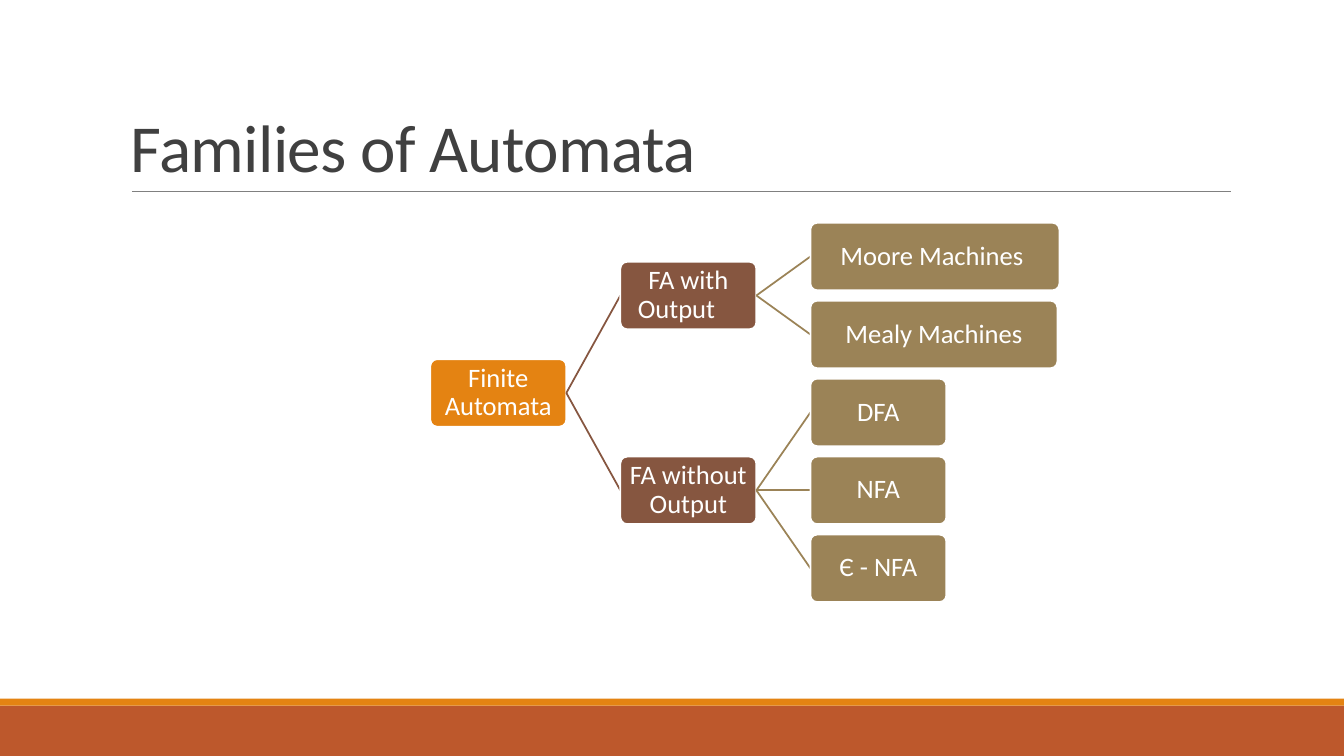
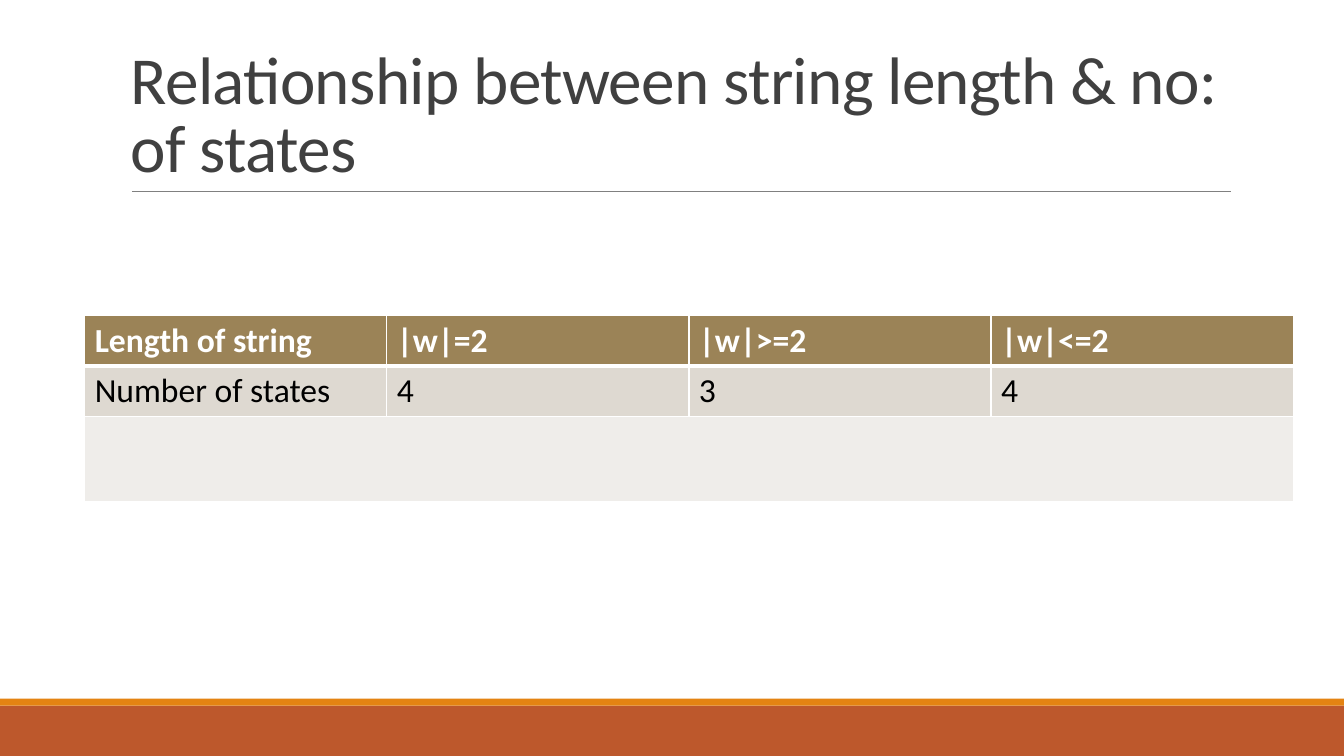
import lxml.etree
import pptx
import pptx.dml.color
import pptx.enum.shapes
import pptx.enum.text
import pptx.oxml.ns
import pptx.util

COLOURS = {
    "band": "BD582C", "stripe": "E48312", "rule": "808080", "title": "404040",
    "root": "E48312", "family": "865640", "machine": "9B8357",
    "header": "9B8357", "body": "DED9D1", "spare": "EFEDEA",
    "white": "FFFFFF", "black": "000000",
}
FONT = "Calibri"
SLIDE_WIDTH = pptx.util.Inches(13.33)
SLIDE_HEIGHT = pptx.util.Inches(7.5)

# The tree's grid, in percent of the slide's width (x) and height (y)
TREE_LEFT, TREE_TOP = 32.02, 29.47
LEVEL_STEP, LEAF_STEP = 14.14, 10.31
NODE_WIDTH, NODE_HEIGHT = 10.12, 8.93
LEVEL_COLOURS = ["root", "family", "machine"]

# Each node: text, width, children
AUTOMATA = ("Finite Automata", NODE_WIDTH, [
    ("FA with Output\t", NODE_WIDTH, [
        ("Moore Machines ", 18.53, []),
        ("Mealy Machines", 18.38, []),
    ]),
    ("FA without Output", NODE_WIDTH, [
        ("DFA", NODE_WIDTH, []),
        ("NFA", NODE_WIDTH, []),
        ("Є - NFA", NODE_WIDTH, []),
    ]),
])

STATE_COUNTS = [
    ["Length of string", "|w|=2", "|w|>=2", "|w|<=2"],
    ["Number of states", "4", "3", "4"],
    ["", "", "", ""],
]
ROW_HEIGHTS = [6.67, 6.67, 11.33]
ROW_FILLS = ["header", "body", "spare"]
COLUMN_WIDTH = 22.48


def across(percent):
    return round(SLIDE_WIDTH * percent / 100)


def down(percent):
    return round(SLIDE_HEIGHT * percent / 100)


def area(left, top, width, height):
    return across(left), down(top), across(width), down(height)


def rgb(name):
    return pptx.dml.color.RGBColor.from_string(COLOURS[name])


def write_text(frame, text, size=24, colour="black", bold=False, align=None,
               anchor=None, line_spacing=None, tracking=None, inset=None):
    """Put one formatted paragraph in a text frame; tracking is in points."""
    frame.word_wrap = True
    if anchor is not None:
        frame.vertical_anchor = anchor
    if inset is not None:
        frame.margin_left = frame.margin_right = pptx.util.Inches(inset)
        frame.margin_top = frame.margin_bottom = pptx.util.Inches(inset)
    paragraph = frame.paragraphs[0]
    paragraph.alignment = align
    paragraph.line_spacing = line_spacing
    run = paragraph.add_run()
    run.text = text
    run.font.name = FONT
    run.font.size = pptx.util.Pt(size)
    run.font.bold = bold
    run.font.color.rgb = rgb(colour)
    if tracking is not None:
        run.font._element.set("spc", str(round(tracking * 100)))


def add_block(slide, place, fill, outline=None, rounded=False):
    kinds = pptx.enum.shapes.MSO_SHAPE
    kind = kinds.ROUNDED_RECTANGLE if rounded else kinds.RECTANGLE
    block = slide.shapes.add_shape(kind, *area(*place))
    block.shadow.inherit = False
    block.fill.solid()
    block.fill.fore_color.rgb = rgb(fill)
    if rounded:
        block.adjustments[0] = 0.1
    if outline:
        block.line.color.rgb = rgb(outline)
        block.line.width = pptx.util.Pt(1.25)
    else:
        block.line.fill.background()
    return block


def add_line(slide, start, end, colour, width):
    line = slide.shapes.add_connector(
        pptx.enum.shapes.MSO_CONNECTOR.STRAIGHT,
        across(start[0]), down(start[1]), across(end[0]), down(end[1]))
    line.line.color.rgb = rgb(colour)
    line.line.width = pptx.util.Pt(width)
    lxml.etree.SubElement(line._element.spPr, pptx.oxml.ns.qn("a:effectLst"))


def add_titled_slide(deck, title):
    slide = deck.slides.add_slide(deck.slide_layouts[6])
    add_block(slide, (0, 93.33, 100, 6.67), "band")
    add_block(slide, (0, 92.4, 100, 0.93), "stripe")
    add_line(slide, (9.82, 25.33), (91.58, 25.33), "rule", 0.5)
    heading = slide.shapes.add_textbox(*area(9, 4.13, 82.5, 21.2))
    write_text(heading.text_frame, title, size=48, colour="title",
               anchor=pptx.enum.text.MSO_ANCHOR.BOTTOM,
               line_spacing=0.85, tracking=-0.5)
    return slide


def count_leaves(node):
    return sum(map(count_leaves, node[2])) or 1


def centre_row(node, first_leaf):
    """Row of a node: its leaf row, or midway between its outer children."""
    children = node[2]
    if not children:
        return first_leaf
    last_leaf = first_leaf + count_leaves(node) - count_leaves(children[-1])
    return (centre_row(children[0], first_leaf)
            + centre_row(children[-1], last_leaf)) / 2


def add_tree(slide, node, level=0, first_leaf=0, parent_exit=None):
    """Draw a node, the line from its parent, and then its children."""
    text, width, children = node
    left = TREE_LEFT + level * LEVEL_STEP
    top = TREE_TOP + centre_row(node, first_leaf) * LEAF_STEP
    middle = top + NODE_HEIGHT / 2
    colour = LEVEL_COLOURS[level]
    if parent_exit:
        add_line(slide, parent_exit, (left, middle), colour, 1.25)
    box = add_block(slide, (left, top, width, NODE_HEIGHT), colour,
                    outline="white", rounded=True)
    write_text(box.text_frame, text, size=19, colour="white", inset=0.03,
               align=pptx.enum.text.PP_ALIGN.CENTER,
               anchor=pptx.enum.text.MSO_ANCHOR.MIDDLE, line_spacing=0.9)
    for child in children:
        add_tree(slide, child, level + 1, first_leaf, (left + width, middle))
        first_leaf += count_leaves(child)


def set_borders(cell, top=1, bottom=1):
    """Give a cell white borders; widths are in points."""
    qn = pptx.oxml.ns.qn
    properties = cell._tc.get_or_add_tcPr()
    widths = {"a:lnL": 1, "a:lnR": 1, "a:lnT": top, "a:lnB": bottom}
    for position, (side, width) in enumerate(widths.items()):
        border = lxml.etree.Element(qn(side), w=str(pptx.util.Pt(width)))
        fill = lxml.etree.SubElement(border, qn("a:solidFill"))
        lxml.etree.SubElement(fill, qn("a:srgbClr"), val=COLOURS["white"])
        properties.insert(position, border)


def add_state_table(slide):
    columns = len(STATE_COUNTS[0])
    place = area(6.3, 41.73, columns * COLUMN_WIDTH, sum(ROW_HEIGHTS))
    table = slide.shapes.add_table(len(STATE_COUNTS), columns, *place).table
    for column in table.columns:
        column.width = across(COLUMN_WIDTH)
    for r, texts in enumerate(STATE_COUNTS):
        table.rows[r].height = down(ROW_HEIGHTS[r])
        is_header = r == 0
        for c, text in enumerate(texts):
            cell = table.cell(r, c)
            cell.fill.solid()
            cell.fill.fore_color.rgb = rgb(ROW_FILLS[r])
            set_borders(cell, top=3 if r == 1 else 1,
                        bottom=3 if is_header else 1)
            if text:
                write_text(cell.text_frame, text, bold=is_header,
                           colour="white" if is_header else "black")
    last_row = len(STATE_COUNTS) - 1
    table.cell(last_row, 0).merge(table.cell(last_row, columns - 1))


def main():
    deck = pptx.Presentation()
    deck.slide_width = SLIDE_WIDTH
    deck.slide_height = SLIDE_HEIGHT
    add_tree(add_titled_slide(deck, "Families of Automata"), AUTOMATA)
    add_state_table(add_titled_slide(
        deck, "Relationship between string length & no: of states"))
    deck.save("out.pptx")


if __name__ == "__main__":
    main()
